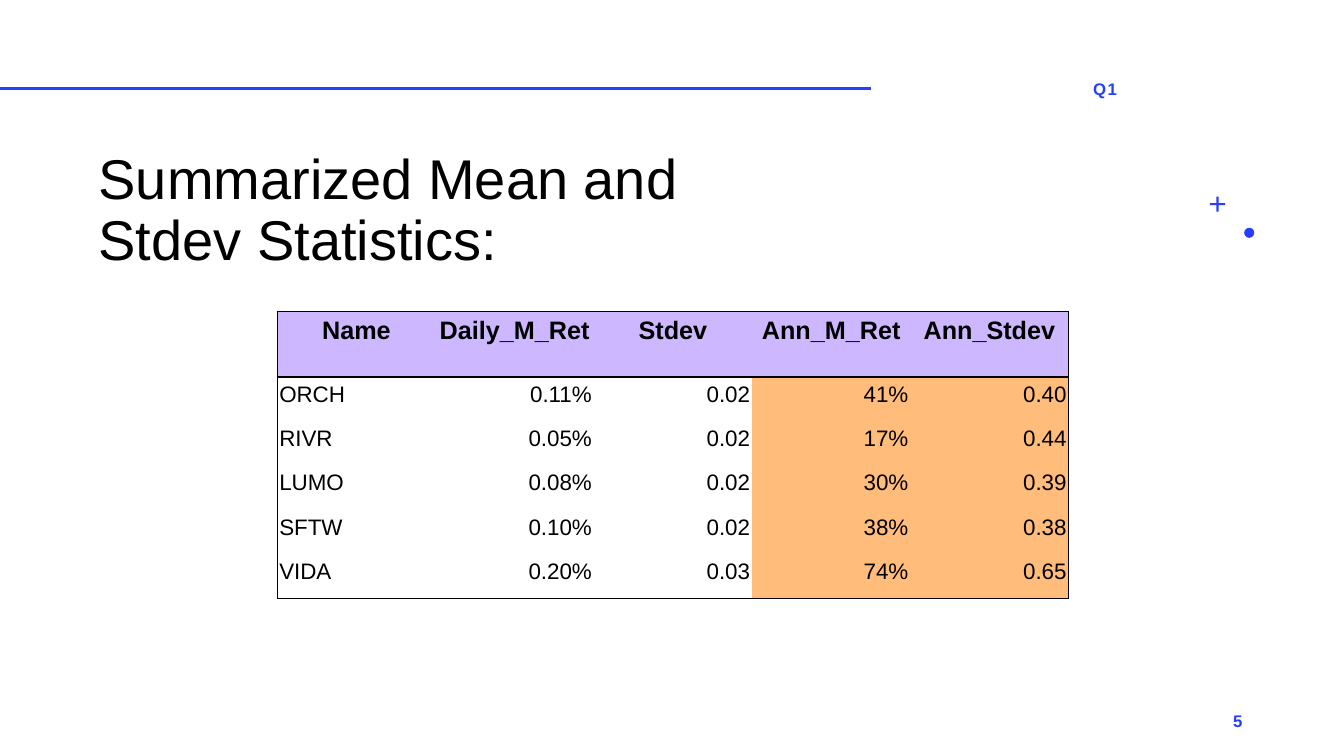
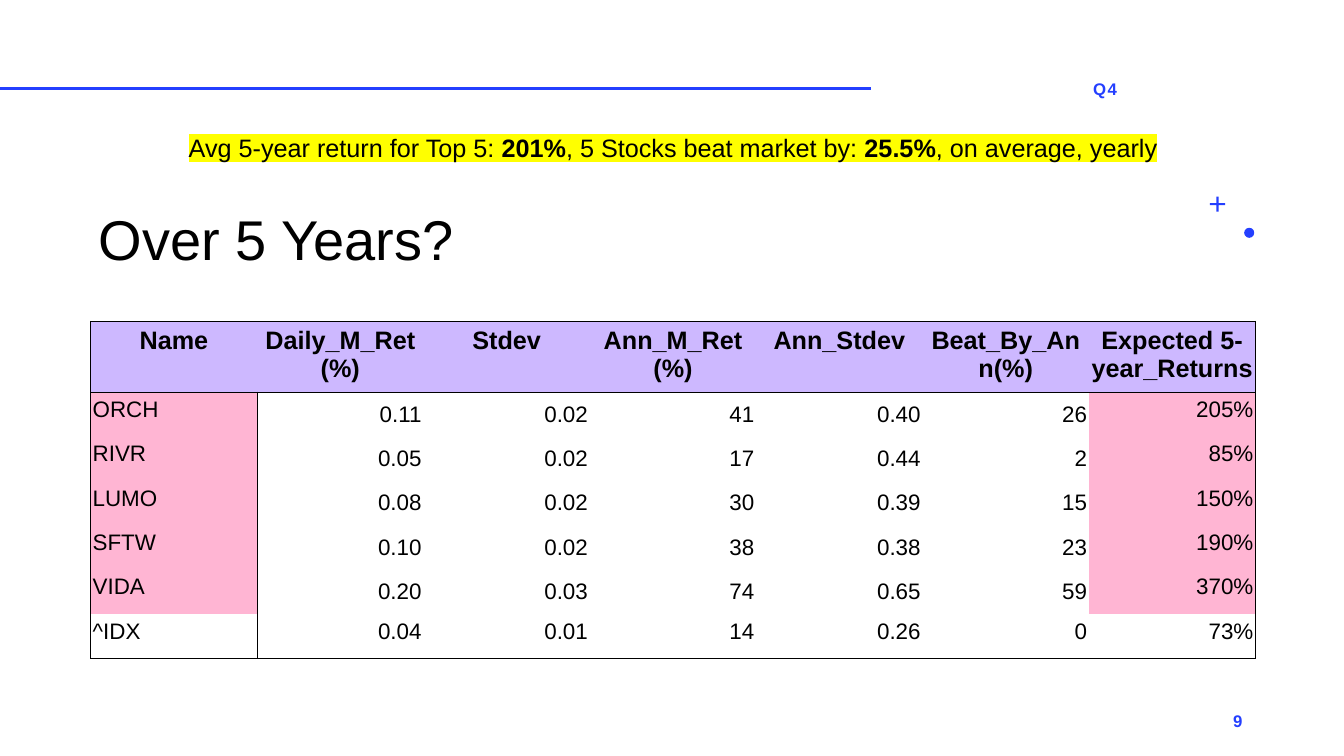
from dataclasses import dataclass
from lxml.etree import SubElement as Sub
from pptx import Presentation
from pptx.dml.color import RGBColor as RGB
from pptx.enum.shapes import MSO_CONNECTOR as Conn, MSO_SHAPE as Shape
from pptx.enum.text import MSO_ANCHOR as Anchor, PP_ALIGN as Align
from pptx.oxml.ns import qn
from pptx.util import Inches as In, Pt


@dataclass(frozen=True)
class Theme:
    font: str = "Arial"
    ink: str = "000000"
    blue: str = "243FFF"
    lilac: str = "CDB8FF"
    orange: str = "FFBC7A"
    pink: str = "FFB5D3"
    white: str = "FFFFFF"
    yellow: str = "FFFF00"
    title: int = 40
    head: int = 18
    body: int = 16
    tag: int = 12


T = Theme()
WIDE, HIGH = 13.33, 7.5
HEAD, ROW = 0.65, 0.44  # table row heights

# Content
SLIDES = [
    {
        "tag": "Q1", "page": "5",
        "title": "Summarized Mean and Stdev Statistics:", "span": 6.77,
        "at": (2.75, 3.09), "col": 1.57,
        "tint": T.orange, "tinted": (3, 4), "plain": 0,
        "rule": False, "mid": False,
        "head": ["Name", "Daily_M_Ret", "Stdev", "Ann_M_Ret", "Ann_Stdev"],
        "rows": [
            ["ORCH", "0.11%", "0.02", "41%", "0.40"],
            ["RIVR", "0.05%", "0.02", "17%", "0.44"],
            ["LUMO", "0.08%", "0.02", "30%", "0.39"],
            ["SFTW", "0.10%", "0.02", "38%", "0.38"],
            ["VIDA", "0.20%", "0.03", "74%", "0.65"],
        ],
    },
    {
        "tag": "Q4", "page": "9",
        "title": "Over 5 Years?", "span": 8.94,
        "at": (0.9, 3.19), "col": 1.65,
        "tint": T.pink, "tinted": (0, 6), "plain": 1,
        "rule": True, "mid": True,
        "head": ["Name", "Daily_M_Ret\n(%)", "Stdev", "Ann_M_Ret (%)",
                 "Ann_Stdev", "Beat_By_Ann(%)", "Expected 5-year_Returns"],
        "rows": [
            ["ORCH", "0.11", "0.02", "41", "0.40", "26", "205%"],
            ["RIVR", "0.05", "0.02", "17", "0.44", "2", "85%"],
            ["LUMO", "0.08", "0.02", "30", "0.39", "15", "150%"],
            ["SFTW", "0.10", "0.02", "38", "0.38", "23", "190%"],
            ["VIDA", "0.20", "0.03", "74", "0.65", "59", "370%"],
            ["^IDX", "0.04", "0.01", "14", "0.26", "0", "73%"],
        ],
        "note": [("Avg 5-year return for Top 5: ", False), ("201%", True),
                 (", 5 Stocks beat market by: ", False), ("25.5%", True),
                 (", on average, yearly", False)],
    },
]


def style(para, size, color=T.ink, bold=False, align=Align.LEFT):
    para.alignment = align
    font = para.font
    font.name, font.size, font.bold = T.font, Pt(size), bold
    font.color.rgb = RGB.from_string(color)


def box(slide, area, anchor=Anchor.TOP):
    frame = slide.shapes.add_textbox(*map(In, area)).text_frame
    frame.word_wrap = True
    frame.vertical_anchor = anchor
    return frame.paragraphs[0]


def label(slide, text, area, align):
    para = box(slide, area, Anchor.MIDDLE)
    para.text = text
    style(para, T.tag, T.blue, True, align)
    para._p.find(".//" + qn("a:defRPr")).set("spc", "100")


def base(slide, data):
    # Rule across the top
    line = slide.shapes.add_connector(Conn.STRAIGHT, 0, In(0.88), In(8.64), In(0.88))
    line.line.color.rgb = RGB.from_string(T.blue)
    line.line.width = Pt(2.25)
    Sub(line._element.spPr, qn("a:effectLst"))
    # Dot and plus
    for kind, left, top, size in ((Shape.OVAL, 12.34, 2.26, 0.1),
                                  (Shape.CROSS, 12, 1.95, 0.15)):
        mark = slide.shapes.add_shape(kind, *map(In, (left, top, size, size)))
        mark.shadow.inherit = False
        mark.fill.solid()
        mark.fill.fore_color.rgb = RGB.from_string(T.blue)
        mark.line.fill.background()
        if kind == Shape.CROSS:
            mark.adjustments[0] = 0.43
    # Title, tag and page number
    para = box(slide, (0.88, 1.46, data["span"], 1.29), Anchor.BOTTOM)
    para.text = data["title"]
    para.line_spacing = 0.9
    style(para, T.title)
    label(slide, data["tag"], (8.71, 0.68, 4.5, 0.4), Align.CENTER)
    label(slide, data["page"], (9.42, 6.95, 3, 0.4), Align.RIGHT)


def edges(cell, drawn):
    props = cell._tc.get_or_add_tcPr()
    for side in "LRTB":
        line = Sub(props, qn("a:ln" + side), w=str(Pt(1)))
        if side in drawn:
            fill = Sub(line, qn("a:solidFill"))
            Sub(fill, qn("a:srgbClr"), val=T.ink)
        else:
            Sub(line, qn("a:noFill"))


def grid(slide, data):
    cells = [data["head"]] + data["rows"]
    rows, cols = len(cells), len(data["head"])
    size = (cols * data["col"], HEAD + ROW * (rows - 1))
    table = slide.shapes.add_table(rows, cols, *map(In, data["at"] + size)).table
    table.first_row = table.horz_banding = False
    for col in table.columns:
        col.width = In(data["col"])
    for r, texts in enumerate(cells):
        table.rows[r].height = In(ROW if r else HEAD)
        tinted = 0 < r < rows - data["plain"]
        for c, text in enumerate(texts):
            cell = table.cell(r, c)
            cell.margin_left = cell.margin_right = In(0.02)
            cell.text = text
            for para in cell.text_frame.paragraphs:
                if r:
                    style(para, T.body, align=Align.RIGHT if c else Align.LEFT)
                else:
                    style(para, T.head, bold=True, align=Align.CENTER)
            hue = T.white if r else T.lilac
            if tinted and c in data["tinted"]:
                hue = data["tint"]
            elif tinted and data["mid"]:
                cell.vertical_anchor = Anchor.MIDDLE
            # Outline, line below the head, line beside the names
            rule = data["rule"] and r > 0
            tests = {"L": c == 0 or (rule and c == 1),
                     "R": c == cols - 1 or (rule and c == 0),
                     "T": r < 2, "B": r in (0, rows - 1)}
            edges(cell, [side for side, on in tests.items() if on])
            cell.fill.solid()
            cell.fill.fore_color.rgb = RGB.from_string(hue)


def note(slide, parts):
    para = box(slide, (0.9, 1.26, 11.55, 0.4))
    style(para, T.head, align=Align.CENTER)
    for text, bold in parts:
        run = para.add_run()
        run.text = text
        run.font.bold = bold
        mark = Sub(run._r.get_or_add_rPr(), qn("a:highlight"))
        Sub(mark, qn("a:srgbClr"), val=T.yellow)


def main():
    deck = Presentation()
    deck.slide_width, deck.slide_height = In(WIDE), In(HIGH)
    for data in SLIDES:
        slide = deck.slides.add_slide(deck.slide_layouts[6])
        base(slide, data)
        grid(slide, data)
        if "note" in data:
            note(slide, data["note"])
    deck.save("out.pptx")


if __name__ == "__main__":
    main()
